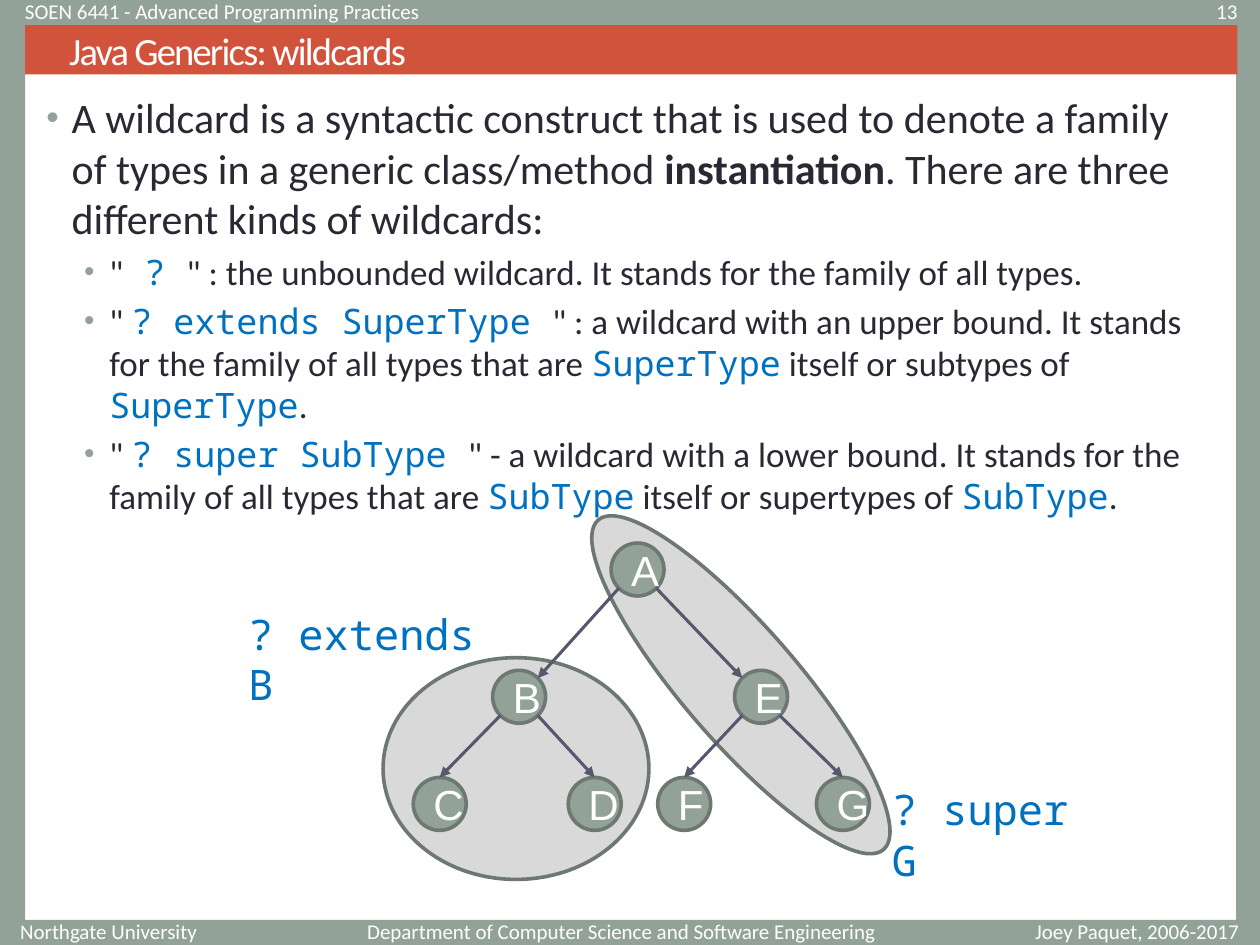
"""Build a slide on Java wildcards with bullets and a type hierarchy diagram."""
import math

import pptx
import pptx.dml.color
import pptx.enum.shapes
import pptx.enum.text
import pptx.oxml
import pptx.oxml.ns
import pptx.util
from pptx.util import Inches

COLORS = {
    "sage": "93A299", "outline": "6D7871", "family": "D9D9D9", "title": "D2533C",
    "ink": "292934", "code": "0070C0", "arrow": "57576E", "white": "FFFFFF",
}
SANS, MONO, LETTER = "Calibri", "Noto Sans Mono", "Arial"
SHAPE = pptx.enum.shapes.MSO_SHAPE
ALIGN = pptx.enum.text.PP_ALIGN
DIAMETER = 0.42

BARS = [(0, 0, 10, 0.2), (0, 7.3, 10, 0.2), (0, 0, 0.2, 7.44), (9.81, 0.18, 0.19, 7.32)]
MARGIN_TEXTS = [
    ("Northgate University ", (0.03, 7.33, 1.67, 0.12), ALIGN.RIGHT),
    ("Department of Computer Science and Software Engineering",
     (2.8, 7.33, 4.25, 0.12), ALIGN.RIGHT),
    ("Joey Paquet, 2006-2017", (7.99, 7.33, 2.07, 0.12), ALIGN.CENTER),
    ("13", (8.75, 0.03, 1.17, 0.12), ALIGN.RIGHT),
    ("SOEN 6441 - Advanced Programming Practices", (0.1, 0.03, 5.6, 0.12), ALIGN.LEFT),
]
INTRO = ("A wildcard is a syntactic construct that is used to denote a family of types in a "
         "generic class/method |instantiation|. There are three different kinds of wildcards:")
KINDS = [
    '"| ? |" : the unbounded wildcard. It stands for the family of all types.',
    '" |? extends SuperType |" : a wildcard with an upper bound. It stands for the family of '
    'all types that are |SuperType| itself or subtypes of |SuperType|.',
    '" |? super SubType |" - a wildcard with a lower bound. It stands for the family of '
    'all types that are |SubType| itself or supertypes of |SubType|.',
]
NODES = {
    "B": (3.91, 5.32), "C": (3.28, 6.17), "D": (4.51, 6.17), "A": (4.85, 4.31),
    "E": (5.83, 5.32), "F": (5.22, 6.17), "G": (6.48, 6.17),
}
EDGES = ["AB", "AE", "EG", "EF", "BD", "BC"]
LEAVES = "CDFG"


def rgb(name):
    """Return a palette colour."""
    return pptx.dml.color.RGBColor.from_string(COLORS[name])


def style_font(font, name, color, size=None):
    """Set the typeface, colour and optional size of a font."""
    font.name = name
    font.color.rgb = rgb(color)
    if size:
        font.size = pptx.util.Pt(size)


def add_xml(parent, markup):
    """Append a drawing element to a parent and return it."""
    tag, _, rest = markup.partition(" ")
    namespace = pptx.oxml.ns.nsdecls("a")
    child = pptx.oxml.parse_xml(f"<a:{tag} {namespace} {rest}")
    parent.append(child)
    return child


def write(shape, text, name, color, size, align=ALIGN.LEFT, middle=True):
    """Write one uniform paragraph into a shape and return it."""
    frame = shape.text_frame
    frame.word_wrap = True
    anchor = pptx.enum.text.MSO_ANCHOR
    frame.vertical_anchor = anchor.MIDDLE if middle else anchor.TOP
    para = frame.paragraphs[0]
    para.add_run().text = text
    para.alignment = align
    style_font(para.font, name, color, size)
    return para


def add_text(page, box, *args, **options):
    """Add a text box holding one paragraph."""
    write(page.shapes.add_textbox(*map(Inches, box)), *args, **options)


def add_filled(page, kind, box, fill, outlined=False):
    """Add a flat preset shape."""
    shape = page.shapes.add_shape(kind, *map(Inches, box))
    shape.shadow.inherit = False
    shape.fill.solid()
    shape.fill.fore_color.rgb = rgb(fill)
    if outlined:
        shape.line.color.rgb = rgb("outline")
        shape.line.width = pptx.util.Pt(2.08)
    else:
        shape.line.fill.background()
    return shape


def add_title(page):
    """Add the title band."""
    band = add_filled(page, SHAPE.RECTANGLE, (0.2, 0.2, 9.62, 0.39), "title")
    para = write(band, "Java Generics: wildcards", SANS, "white", 22)
    para._p.get_or_add_pPr().set("marL", str(Inches(0.25)))
    para.runs[0]._r.get_or_add_rPr().set("spc", "-100")


def add_bullet(para, text, level, size):
    """Fill a bullet paragraph, giving an accent to the parts between bars."""
    para.level = level
    props = para._p.get_or_add_pPr()
    props.set("marL", str(Inches(0.5 if level else 0.2)))
    props.set("indent", str(Inches(-0.2)))
    add_xml(props, 'spcBef ><a:spcPct val="20000"/></a:spcBef>')
    add_xml(props, f'buClr ><a:srgbClr val="{COLORS["sage"]}"/></a:buClr>')
    add_xml(props, 'buSzPct val="85000"/>')
    add_xml(props, 'buFont typeface="Arial"/>')
    add_xml(props, 'buChar char="•"/>')
    para.font.size = pptx.util.Pt(size)
    for index, part in enumerate(text.split("|")):
        span = para.add_run()
        span.text = part
        accent = index % 2 == 1
        if accent and level:
            style_font(span.font, MONO, "code")
        else:
            style_font(span.font, SANS, "ink")
            span.font.bold = accent


def add_body(page):
    """Add the bulleted explanation."""
    box = page.shapes.add_textbox(*map(Inches, (0.27, 0.68, 9.45, 6.54)))
    frame = box.text_frame
    frame.word_wrap = True
    add_bullet(frame.paragraphs[0], INTRO, 0, 24)
    for text in KINDS:
        add_bullet(frame.add_paragraph(), text, 1, 20)


def rim_point(node, angle):
    """Return the point on a node's rim at an angle, clockwise from the right."""
    radius = DIAMETER / 2
    left, top = NODES[node]
    turn = math.radians(angle)
    return left + radius + radius * math.cos(turn), top + radius + radius * math.sin(turn)


def add_arrow(page, parent, child):
    """Add an arrow from a parent node to its child."""
    leftward = NODES[child][0] < NODES[parent][0]
    start = rim_point(parent, 135 if leftward else 45)
    arrival = 270 if child in LEAVES else (315 if leftward else 225)
    ends = map(Inches, start + rim_point(child, arrival))
    arrow = page.shapes.add_connector(pptx.enum.shapes.MSO_CONNECTOR.STRAIGHT, *ends)
    arrow.line.color.rgb = rgb("arrow")
    arrow.line.width = pptx.util.Pt(1.75)
    add_xml(arrow.line._get_or_add_ln(), 'tailEnd type="triangle"/>')
    add_xml(arrow._element.spPr, "effectLst />")


def add_hierarchy(page):
    """Add the tree of types and its wildcard labels."""
    for name, (left, top) in NODES.items():
        box = (left, top, DIAMETER, DIAMETER)
        node = add_filled(page, SHAPE.OVAL, box, "sage", outlined=True)
        write(node, name, LETTER, "white", 24, ALIGN.CENTER)
    for parent, child in EDGES:
        add_arrow(page, parent, child)
    add_text(page, (1.87, 4.78, 2.25, 0.51), "? extends B", MONO, "code", 24, middle=False)
    add_text(page, (6.98, 6.17, 1.88, 0.51), "? super G", MONO, "code", 24, middle=False)


def main():
    """Build and save the deck."""
    deck = pptx.Presentation()
    deck.slide_width, deck.slide_height = Inches(10), Inches(7.5)
    page = deck.slides.add_slide(deck.slide_layouts[6])
    for bar in BARS:
        add_filled(page, SHAPE.RECTANGLE, bar, "sage")
    upper = add_filled(page, SHAPE.OVAL, (4.15, 4.98, 3.46, 0.91), "family", outlined=True)
    upper.rotation = 49.1
    add_filled(page, SHAPE.OVAL, (3.04, 5.22, 2.11, 1.76), "family", outlined=True)
    add_body(page)
    add_title(page)
    for text, box, align in MARGIN_TEXTS:
        add_text(page, box, text, SANS, "white", 12, align)
    add_hierarchy(page)
    deck.save("out.pptx")


if __name__ == "__main__":
    main()
